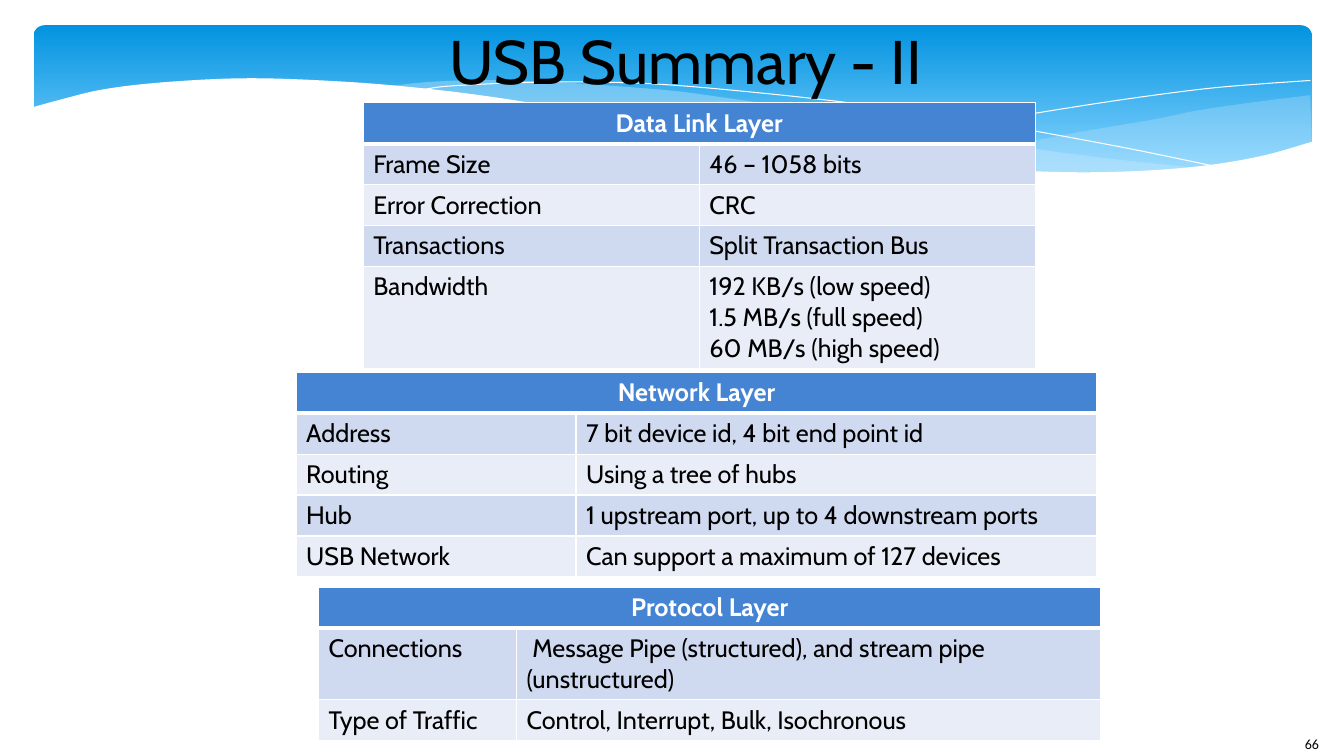
from pptx import Presentation
from pptx import util as u
from pptx.dml import color
from pptx.enum import shapes, text
from pptx.oxml import ns
from lxml import etree

HUES = {
    "deep": "0293E0", "sky": "83D3FE", "tint": "C6E7FC", "white": "FFFFFF",
    "black": "000000", "head": "4584D3", "odd": "CFD9EF", "even": "E9EDF7",
}
CENTER = text.PP_ALIGN.CENTER
ROW = 29.2


def rgb(name):
    return color.RGBColor.from_string(HUES[name])


def write(frame, words, size=18, face="Cabin", hue="black", bold=False, align=None):
    """Fill a text frame, one paragraph for each line of words."""
    for i, line in enumerate(words.split("\n")):
        para = frame.paragraphs[0] if i == 0 else frame.add_paragraph()
        para.alignment = align
        run = para.add_run()
        run.text = line
        font = run.font
        font.size, font.name, font.bold = u.Pt(size), face, bold
        font.color.rgb = rgb(hue)


def smooth(knots, steps=5):
    """Points of a Catmull-Rom curve through the knots."""
    ends = [knots[0], *knots, knots[-1]]
    curve = [knots[0]]
    for a, b, c, d in zip(ends, ends[1:], ends[2:], ends[3:]):
        for k in range(1, steps + 1):
            t = k / steps
            curve.append(tuple(
                (2 * q + (r - p) * t + (2 * p - 5 * q + 4 * r - s) * t ** 2
                 + (3 * q - p - 3 * r + s) * t ** 3) / 2
                for p, q, r, s in zip(a, b, c, d)))
    return curve


class Deck:
    def __init__(self):
        self.prs = Presentation()
        self.prs.slide_width, self.prs.slide_height = u.Pt(960), u.Pt(540)
        self.slide = self.prs.slides.add_slide(self.prs.slide_layouts[5])
        self.items = self.slide.shapes

    def panel(self, x, y, w, h, round_by):
        kind = shapes.MSO_SHAPE.ROUNDED_RECTANGLE
        box = self.items.add_shape(kind, *map(u.Pt, (x, y, w, h)))
        box.adjustments[0] = round_by
        box.shadow.inherit = False
        box.line.fill.background()
        box.fill.gradient()
        box.fill.gradient_angle = 270
        for stop, spot, hue in zip(box.fill.gradient_stops, (0, 0.9), ("deep", "sky")):
            stop.position = spot
            stop.color.rgb = rgb(hue)

    def wave(self, *edges, hue=None, alpha=100):
        """A filled area between edges, or a thin white line if hue is None."""
        dots = [(u.Pt(x), u.Pt(y)) for edge in edges for x, y in smooth(edge)]
        pen = self.items.build_freeform(*dots[0], scale=1.0)
        pen.add_line_segments(dots[1:], close=hue is not None)
        form = pen.convert_to_shape()
        form.shadow.inherit = False
        if hue is None:
            form.fill.background()
            form.line.color.rgb = rgb("white")
            form.line.width = u.Pt(0)
            return
        form.line.fill.background()
        form.fill.solid()
        form.fill.fore_color.rgb = rgb(hue)
        if alpha < 100:
            tone = form.fill._xPr.find(".//" + ns.qn("a:srgbClr"))
            etree.SubElement(tone, ns.qn("a:alpha"), val=str(alpha * 1000))

    def title(self, words, x, y, w, h):
        head = self.items.title
        self.items._spTree.append(head._element)  # in front of the banner
        head.left, head.top, head.width, head.height = map(u.Pt, (x, y, w, h))
        frame = head.text_frame
        frame.margin_left = frame.margin_right = 0
        frame.margin_top = frame.margin_bottom = 0
        frame.auto_size = text.MSO_AUTO_SIZE.NONE
        frame.vertical_anchor = text.MSO_ANCHOR.MIDDLE
        write(frame, words, size=44, align=CENTER)

    def label(self, words, x, y, w, h, **style):
        write(self.items.add_textbox(*map(u.Pt, (x, y, w, h))).text_frame, words, **style)

    def border(self, cell, top, bottom):
        props = cell._tc.get_or_add_tcPr()
        for i, (side, wide) in enumerate(zip("LRTB", (1, 1, top, bottom))):
            line = etree.Element(ns.qn("a:ln" + side), w=str(u.Pt(wide)))
            fill = etree.SubElement(line, ns.qn("a:solidFill"))
            etree.SubElement(fill, ns.qn("a:srgbClr"), val=HUES["white"])
            props.insert(i, line)

    def table(self, head, rows, x, y, cols, highs):
        size = map(u.Pt, (x, y, sum(cols), sum(highs)))
        grid = self.items.add_table(len(rows) + 1, len(cols), *size).table
        grid.horz_banding = False
        for col, wide in zip(grid.columns, cols):
            col.width = u.Pt(wide)
        for row, high in zip(grid.rows, highs):
            row.height = u.Pt(high)
        grid.cell(0, 0).merge(grid.cell(0, len(cols) - 1))
        write(grid.cell(0, 0).text_frame, head, hue="white", bold=True, align=CENTER)
        for r, row in enumerate(grid.rows):
            for c, cell in enumerate(row.cells):
                cell.fill.solid()
                cell.fill.fore_color.rgb = rgb("head" if r == 0 else "odd" if r % 2 else "even")
                self.border(cell, 3 if r == 1 else 1, 3 if r == 0 else 1)
                if r:
                    write(cell.text_frame, rows[r - 1][c])


def main():
    deck = Deck()

    # Banner with waves
    deck.panel(24, 18, 913, 112, 0.07)
    deck.wave(
        [(936, 68), (896, 73), (855, 79), (826, 85), (773, 94), (724, 103), (678, 109), (635, 115)],
        [(635, 115), (690, 120), (738, 123), (782, 124), (819, 123), (854, 120), (885, 115),
         (912, 109), (937, 102)],
        hue="tint", alpha=29)
    deck.wave(
        [(857, 120), (803, 114.5), (744, 107), (678, 96.5), (604, 83.5), (560, 76), (519, 70),
         (482, 65), (446, 62), (403, 59), (364, 57.5), (330, 57.5), (301, 59), (275, 62)],
        [(275, 62), (328, 67.5), (388, 76), (431, 83), (508, 97), (577, 108), (639, 116),
         (694, 120.5), (742, 123.5), (785, 124.5), (823, 123), (857, 120)],
        hue="tint", alpha=40)
    deck.wave([(297, 65), (315, 62), (338, 60.5), (372, 59), (415, 58.5), (468, 60),
               (534, 65.5), (611, 74), (698, 86.5), (798, 104.5), (871, 119.5)])
    deck.wave([(589, 109), (626, 101.5), (692, 89), (745, 80), (803, 71), (860, 63.5),
               (900, 60), (936, 57.5)])
    deck.wave(
        [(938, 101), (903, 111), (863, 118), (816, 122), (762, 123), (698, 120), (621, 112),
         (533, 100), (429, 82), (350, 69), (281, 61), (220, 57), (169, 56), (114, 59),
         (73, 64), (44, 71), (22, 77)],
        [(22, 161), (938, 161)],
        hue="white")

    # Page number and title
    deck.label("66", 925, 522, 34, 18, size=10, face="Calibri")
    deck.title("USB Summary - II", 198, 6, 584, 73)

    # Layer tables
    deck.table("Data Link Layer", [
        ("Frame Size", "46 – 1058 bits"),
        ("Error Correction", "CRC"),
        ("Transactions", "Split Transaction Bus"),
        ("Bandwidth", "192 KB/s (low speed)\n1.5 MB/s (full speed)\n60 MB/s (high speed)"),
    ], 259.5, 73.5, (240, 240), [ROW] * 4 + [72])
    deck.table("Network Layer", [
        ("Address", "7 bit device id, 4 bit end point id"),
        ("Routing", "Using a tree of hubs"),
        ("Hub", "1 upstream port, up to 4 downstream ports"),
        ("USB Network", "Can support a maximum of 127 devices"),
    ], 211.5, 266, (200, 372), [28] + [ROW] * 4)
    deck.table("Protocol Layer", [
        ("Connections", " Message Pipe (structured), and stream pipe (unstructured)"),
        ("Type of Traffic", "Control, Interrupt, Bulk, Isochronous"),
    ], 227.5, 419.5, (141.5, 417.5), [ROW, 50.4, ROW])

    deck.prs.save("out.pptx")


if __name__ == "__main__":
    main()
